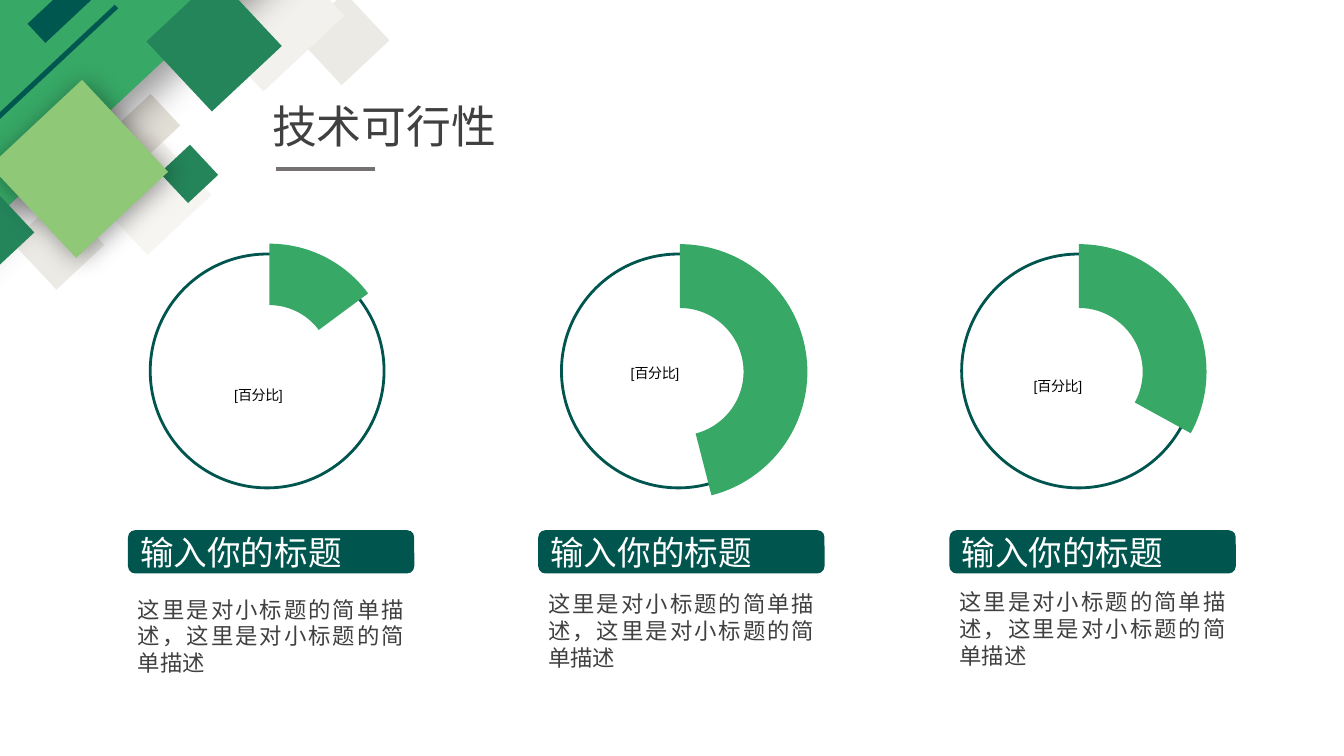
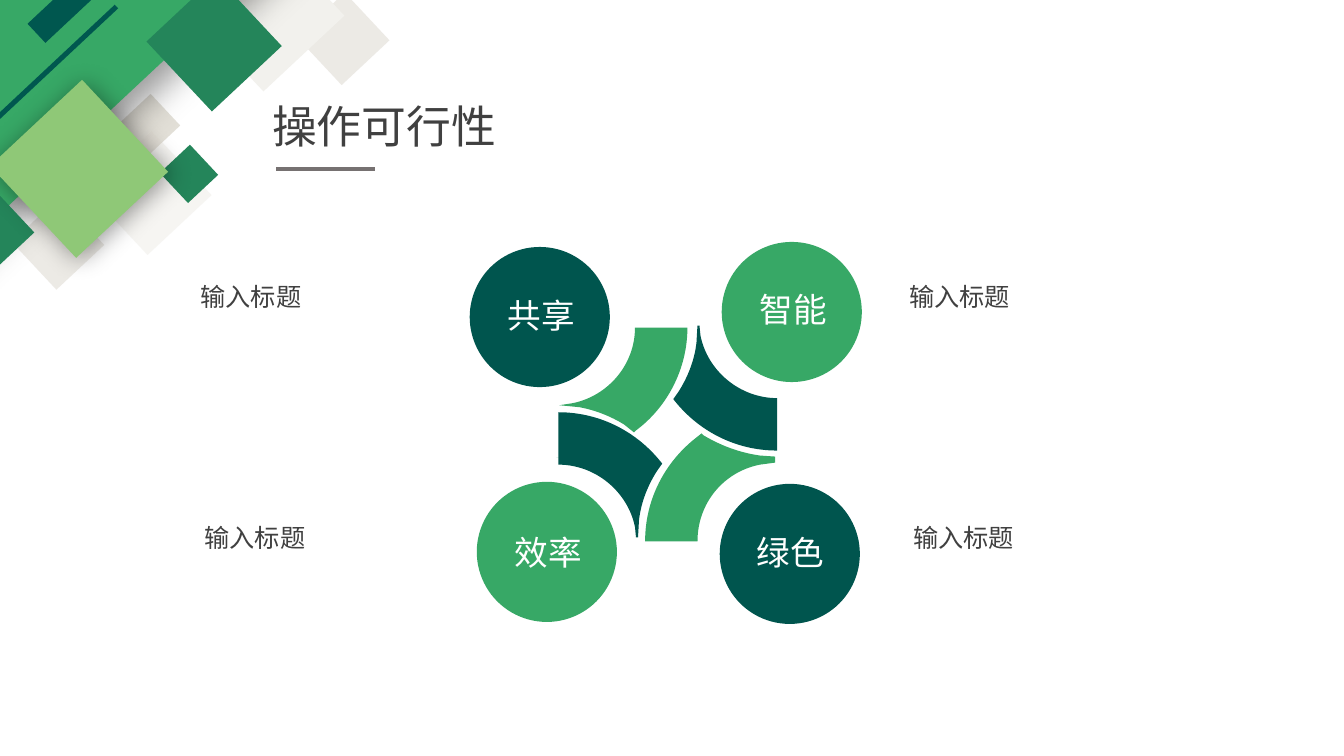
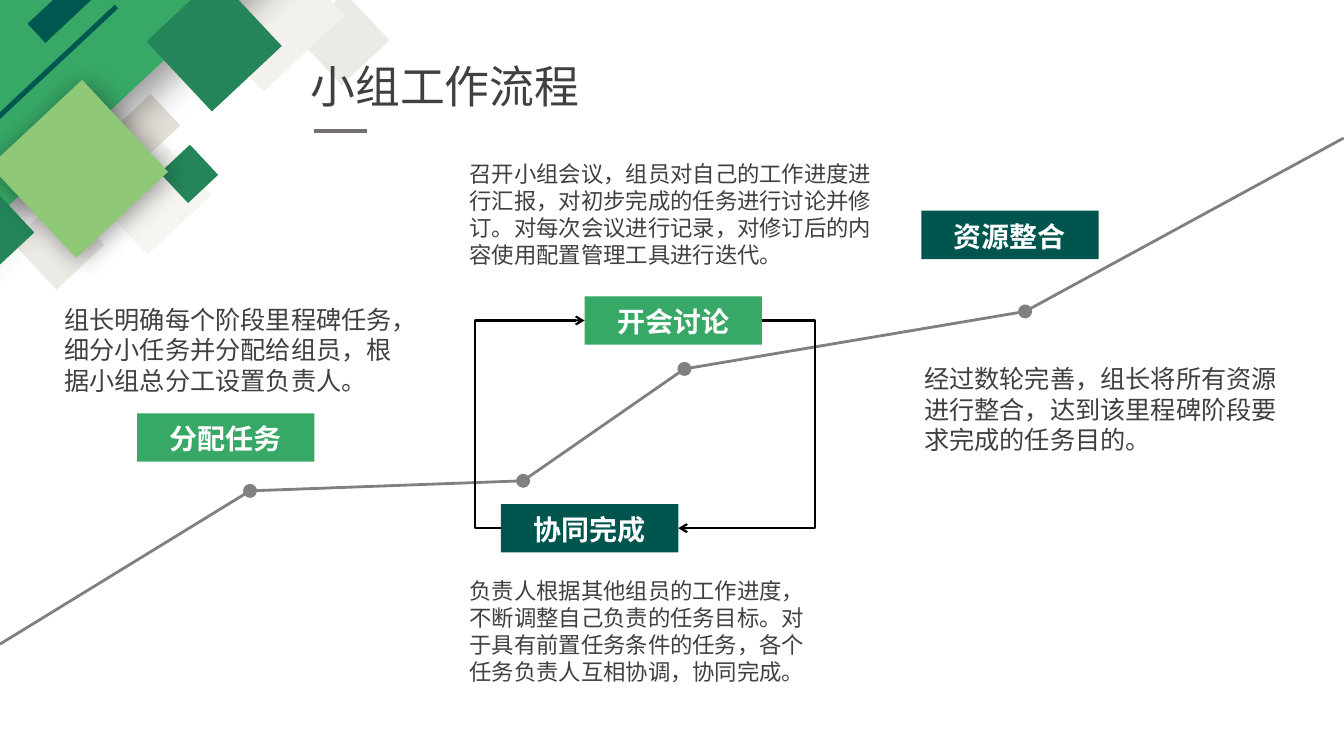
"""Builds three green feasibility and workflow slides."""
from dataclasses import dataclass

from lxml.etree import SubElement
from pptx import Presentation
from pptx.chart.data import CategoryChartData
from pptx.dml.color import RGBColor
from pptx.enum.chart import XL_CHART_TYPE
from pptx.enum.shapes import MSO_CONNECTOR, MSO_SHAPE
from pptx.enum.text import MSO_ANCHOR, MSO_AUTO_SIZE, PP_ALIGN
from pptx.oxml import parse_xml
from pptx.oxml.ns import nsdecls, qn
from pptx.util import Pt

PX = 9144


@dataclass(frozen=True)
class Theme:
    font: str = "Arial"
    green: str = "37A866"
    dark: str = "00554E"
    stripe: str = "00574F"
    mid: str = "24855A"
    light: str = "8FC877"
    sand: str = "E7E4DD"
    pale: str = "F2F1ED"
    stone: str = "D8D4C9"
    ink: str = "404040"
    rule: str = "767171"
    path_line: str = "808080"
    white: str = "FFFFFF"
    black: str = "000000"
    title: int = 32
    heading: int = 24
    step: int = 20
    body: int = 18
    note: int = 16
    label: int = 10


theme = Theme()


def place(slide, preset, box, fill=None):
    """Adds a preset shape, or a text box when there is no preset."""
    emu = [value * PX for value in box]
    if preset is None:
        return slide.shapes.add_textbox(*emu)
    shape = slide.shapes.add_shape(preset, *emu)
    shape.shadow.inherit = False
    shape.line.fill.background()
    if fill:
        shape.fill.solid()
        shape.fill.fore_color.rgb = RGBColor.from_string(fill)
    else:
        shape.fill.background()
    return shape


def write(shape, text, size, color, align=PP_ALIGN.LEFT, anchor=MSO_ANCHOR.TOP,
          fit=MSO_AUTO_SIZE.SHAPE_TO_FIT_TEXT, bold=False):
    """Fills a shape with one formatted paragraph."""
    frame = shape.text_frame
    frame.text = text
    paragraph = frame.paragraphs[0]
    font = paragraph.runs[0].font
    formats = (
        (frame, {"word_wrap": True, "auto_size": fit, "vertical_anchor": anchor}),
        (paragraph, {"alignment": align}),
        (font, {"name": theme.font, "size": Pt(size), "bold": bold}),
    )
    for target, values in formats:
        for key, value in values.items():
            setattr(target, key, value)
    font.color.rgb = RGBColor.from_string(color)


prs = Presentation()
prs.slide_height = 750 * PX
prs.slide_width = prs.slide_height * 16 // 9
layout = prs.slide_layouts[5]
slides = [prs.slides.add_slide(layout) for _ in range(3)]
technical, operation, workflow = slides

tiles = [
    ((308, 6, 65, 65), theme.sand, 76, None),
    ((209, -42, 110, 110), theme.pale, 100, None),
    ((25, 209, 65, 65), theme.sand, 76, None),
    ((105, 148, 87, 87), theme.pale, 67, None),
    ((127, 102, 43, 43), theme.stone, 73, None),
    ((-203, -136, 527, 246), theme.green, 100, (27, 16, 90)),
    ((-163, 114, 322, 5), theme.stripe, 100, None),
    ((167, 152, 41, 41), theme.mid, 100, None),
    ((185, -49, 44, 44), theme.dark, 100, None),
    ((165, -4, 95, 95), theme.mid, 100, None),
    ((-48, 195, 68, 68), theme.mid, 100, None),
    ((16, 105, 125, 125), theme.light, 100, (18, 3, 45)),
    ((-8, -92, 328, 26), theme.stripe, 100, None),
]
for index, (box, color, opacity, shade) in enumerate(tiles):
    tile = place(technical, MSO_SHAPE.RECTANGLE, box, color)
    tile.rotation = 316.9
    properties = tile._element.spPr
    if opacity < 100:
        tint = properties.find(qn("a:solidFill")).find(qn("a:srgbClr"))
        SubElement(tint, qn("a:alpha"), val=str(opacity * 1000))
    if shade:
        blur, distance, angle = shade
        outer = SubElement(
            properties.find(qn("a:effectLst")), qn("a:outerShdw"), blurRad=str(Pt(blur)),
            dist=str(Pt(distance)), dir=str(angle * 60000), algn="ctr", rotWithShape="0")
        tint = SubElement(outer, qn("a:srgbClr"), val=theme.black)
        SubElement(tint, qn("a:alpha"), val="40000")
    tile._element.nvSpPr.cNvPr.set("id", str(20 + index))
    layout.shapes._spTree.insert(2 + index, tile._element)

lines = []
headers = [
    ("技术可行性", (260, 93, 407, 64), (274, 168, 372, 168)),
    ("操作可行性", (260, 93, 407, 64), (274, 168, 372, 168)),
    ("小组工作流程", (298, 53, 311, 64), (312, 130, 364, 130)),
]
for slide, (text, box, rule_ends) in zip(slides, headers):
    heading = slide.shapes.title
    for side, value in zip(("left", "top", "width", "height"), box):
        setattr(heading, side, value * PX)
    write(heading, text, theme.title, theme.ink)
    rule = slide.shapes.add_connector(
        MSO_CONNECTOR.STRAIGHT, *[value * PX for value in rule_ends])
    lines.append((rule, theme.rule, 3, None))

shares = [
    (149, (31, 146, 520, 478), (15, 47, 21, 18), (-0.1, 0.23), 127, 586),
    (557, (429, 168, 540, 441), (46, 30, 13, 11), (-0.22, 0.03), 534, 581),
    (954, (825, 168, 540, 441), (33, 37, 16, 14), (-0.19, 0.14), 942, 579),
]
for ring_left, chart_box, values, label_shift, left, note_top in shares:
    ring = place(technical, MSO_SHAPE.OVAL, (ring_left, 252, 232, 232))
    ring.line.color.rgb = RGBColor.from_string(theme.dark)
    ring.line.width = Pt(2)

    data = CategoryChartData()
    data.categories = ["1", "2", "3", "4"]
    data.add_series("Series 1", values)
    chart = technical.shapes.add_chart(
        XL_CHART_TYPE.DOUGHNUT, *[value * PX for value in chart_box], data).chart
    chart.has_legend = chart.has_title = False
    chart.font.name, chart.font.size = theme.font, Pt(theme.label)
    chart.font.color.rgb = RGBColor.from_string(theme.black)
    series = chart.plots[0].series[0]
    for index in range(len(values)):
        sector = series.points[index].format
        sector.line.fill.background()
        if index:
            sector.fill.background()
        else:
            sector.fill.solid()
            sector.fill.fore_color.rgb = RGBColor.from_string(theme.green)
    caption = series.points[0].data_label.text_frame
    caption.text = "[百分比]"
    caption_font = caption.paragraphs[0].runs[0].font
    caption_font.name, caption_font.size = theme.font, Pt(theme.label)
    caption_font.color.rgb = RGBColor.from_string(theme.black)
    series.data_labels.show_value = False

    chart_space = chart._chartSpace
    chart_space.xpath(".//c:holeSize")[0].set("val", "90")
    plot_area = chart_space.xpath(".//c:plotArea")[0]
    for automatic in plot_area.findall(qn("c:layout")):
        plot_area.remove(automatic)
    plot_area.insert(0, parse_xml(
        f'<c:layout {nsdecls("c")}><c:manualLayout><c:layoutTarget val="inner"/>'
        '<c:xMode val="edge"/><c:yMode val="edge"/><c:x val="0.22"/><c:y val="0.104"/>'
        '<c:w val="0.469"/><c:h val="0.703"/></c:manualLayout></c:layout>'))
    shift_x, shift_y = label_shift
    chart_space.xpath(".//c:dLbl")[0].insert(1, parse_xml(
        f'<c:layout {nsdecls("c")}><c:manualLayout><c:x val="{shift_x}"/>'
        f'<c:y val="{shift_y}"/></c:manualLayout></c:layout>'))

    pill = place(technical, MSO_SHAPE.ROUNDED_RECTANGLE, (left, 526, 284, 43), theme.dark)
    write(pill, "输入你的标题", theme.heading, theme.white, PP_ALIGN.JUSTIFY,
          MSO_ANCHOR.MIDDLE, MSO_AUTO_SIZE.NONE)
    note = place(technical, None, (left, note_top, 284, 91))
    write(note, "这里是对小标题的简单描述，这里是对小标题的简单描述", theme.note, theme.ink,
          PP_ALIGN.JUSTIFY)

spur = [(552, 454), (556, 454)]
upper_petal = [
    (630, 325), (682, 325), (682, 366, 662, 404, 631, 427), (629, 429), (619, 421),
    (606, 413, 591, 407, 575, 404), (555, 402), (568, 400), (603, 393, 630, 362, 630, 325),
]
lower_petal = [
    (696, 430), (698, 432), (715, 442, 733, 449, 754, 452), (769, 453), (769, 459),
    (754, 461), (718, 468, 692, 499, 692, 537), (640, 537), (640, 495, 660, 458, 691, 434),
]
right_petal = [
    (692, 323), (694, 323), (695, 333), (702, 368, 734, 395, 771, 395), (771, 447),
    (729, 447, 692, 427, 668, 396), (673, 389), (682, 375, 689, 358, 691, 340),
]
left_petal = [
    tuple((856 if index % 2 else 1325) - value for index, value in enumerate(part))
    for part in right_petal
]
petals = [([spur, upper_petal], theme.green), ([lower_petal], theme.green),
          ([right_petal], theme.dark), ([left_petal], theme.dark)]
for contours, color in petals:
    builder = operation.shapes.build_freeform(*contours[0][0], scale=PX)
    for contour in contours:
        if contour is not contours[0]:
            builder.move_to(*contour[0])
        builder.add_line_segments([part[-2:] for part in contour[1:]], close=True)
    petal = builder.convert_to_shape()
    petal.shadow.inherit = False
    petal.fill.solid()
    petal.fill.fore_color.rgb = RGBColor.from_string(color)
    petal.line.fill.background()
    left, top = petal.left // PX, petal.top // PX
    segments = petal._element.xpath(".//a:lnTo")
    for segment, part in zip(segments, [part for contour in contours for part in contour[1:]]):
        if len(part) == 6:
            curve = parse_xml(f'<a:cubicBezTo {nsdecls("a")}/>')
            for x, y in zip(part[::2], part[1::2]):
                SubElement(curve, qn("a:pt"), x=str(x - left), y=str(y - top))
            segment.getparent().replace(segment, curve)

qualities = [
    ("共享", (466, 245), theme.dark, (494, 288, 90, 50), (189, 274)),
    ("绿色", (714, 480), theme.dark, (741, 523, 88, 50), (896, 513)),
    ("智能", (716, 240), theme.green, (744, 282, 88, 50), (892, 274)),
    ("效率", (473, 478), theme.green, (501, 523, 96, 50), (193, 513)),
]
for text, corner, color, name_box, caption_corner in qualities:
    place(operation, MSO_SHAPE.OVAL, (*corner, 139, 139), color)
    quality = place(operation, None, name_box)
    write(quality, text, theme.heading, theme.white)
    caption = place(operation, None, (*caption_corner, 256, 40))
    write(caption, "输入标题", theme.body, theme.ink)

milestones = [(0, 639), (248, 487), (519, 477), (679, 366), (1017, 309), (1333, 137)]
for start, end in zip(milestones, milestones[1:]):
    stretch = workflow.shapes.add_connector(
        MSO_CONNECTOR.STRAIGHT, *[value * PX for value in start + end])
    lines.append((stretch, theme.path_line, 2, None if end == milestones[-1] else "oval"))

stages = [
    ("分配任务", (136, 410), theme.green, (150, 413, 148, 44), (54, 297, 363, 101), theme.body,
     "组长明确每个阶段里程碑任务，细分小任务并分配给组员，根据小组总分工设置负责人。"),
    ("协同完成", (497, 500), theme.dark, (504, 504, 161, 44), (456, 568, 363, 118), theme.note,
     "负责人根据其他组员的工作进度，不断调整自己负责的任务目标。对于具有前置任务条件的任务，"
     "各个任务负责人互相协调，协同完成。"),
    ("开会讨论", (580, 294), theme.green, (594, 297, 148, 44), (456, 154, 422, 118), theme.note,
     "召开小组会议，组员对自己的工作进度进行汇报，对初步完成的任务进行讨论并修订。"
     "对每次会议进行记录，对修订后的内容使用配置管理工具进行迭代。"),
    ("资源整合", (914, 209), theme.dark, (925, 213, 154, 44), (907, 356, 371, 101), theme.body,
     "经过数轮完善，组长将所有资源进行整合，达到该里程碑阶段要求完成的任务目的。"),
]
stage_boxes = {}
for name, corner, color, name_box, detail_box, size, text in stages:
    stage_boxes[name] = place(workflow, MSO_SHAPE.RECTANGLE, (*corner, 176, 48), color)
    stage = place(workflow, None, name_box)
    write(stage, name, theme.step, theme.white, PP_ALIGN.CENTER, bold=True)
    detail = place(workflow, None, detail_box)
    write(detail, text, size, theme.ink)

loops = [
    ("开会讨论", "协同完成", 3, (756, 318, 673, 524), -63300),
    ("协同完成", "开会讨论", 1, (497, 524, 580, 318), -31200),
]
for source, target, side, ends, bend in loops:
    loop = workflow.shapes.add_connector(MSO_CONNECTOR.ELBOW, *[value * PX for value in ends])
    loop.begin_connect(stage_boxes[source], side)
    loop.end_connect(stage_boxes[target], side)
    adjustments = loop._element.xpath(".//a:avLst")[0]
    SubElement(adjustments, qn("a:gd"), name="adj1", fmla=f"val {bend}")
    lines.append((loop, theme.black, 1.5, "arrow"))

for connector, color, width, tail in lines:
    connector.line.color.rgb = RGBColor.from_string(color)
    connector.line.width = Pt(width)
    if tail:
        reach = "lg" if tail == "oval" else "med"
        SubElement(connector.line._get_or_add_ln(), qn("a:tailEnd"), type=tail, w=reach, len=reach)
    SubElement(connector._element.spPr, qn("a:effectLst"))

prs.save("out.pptx")
